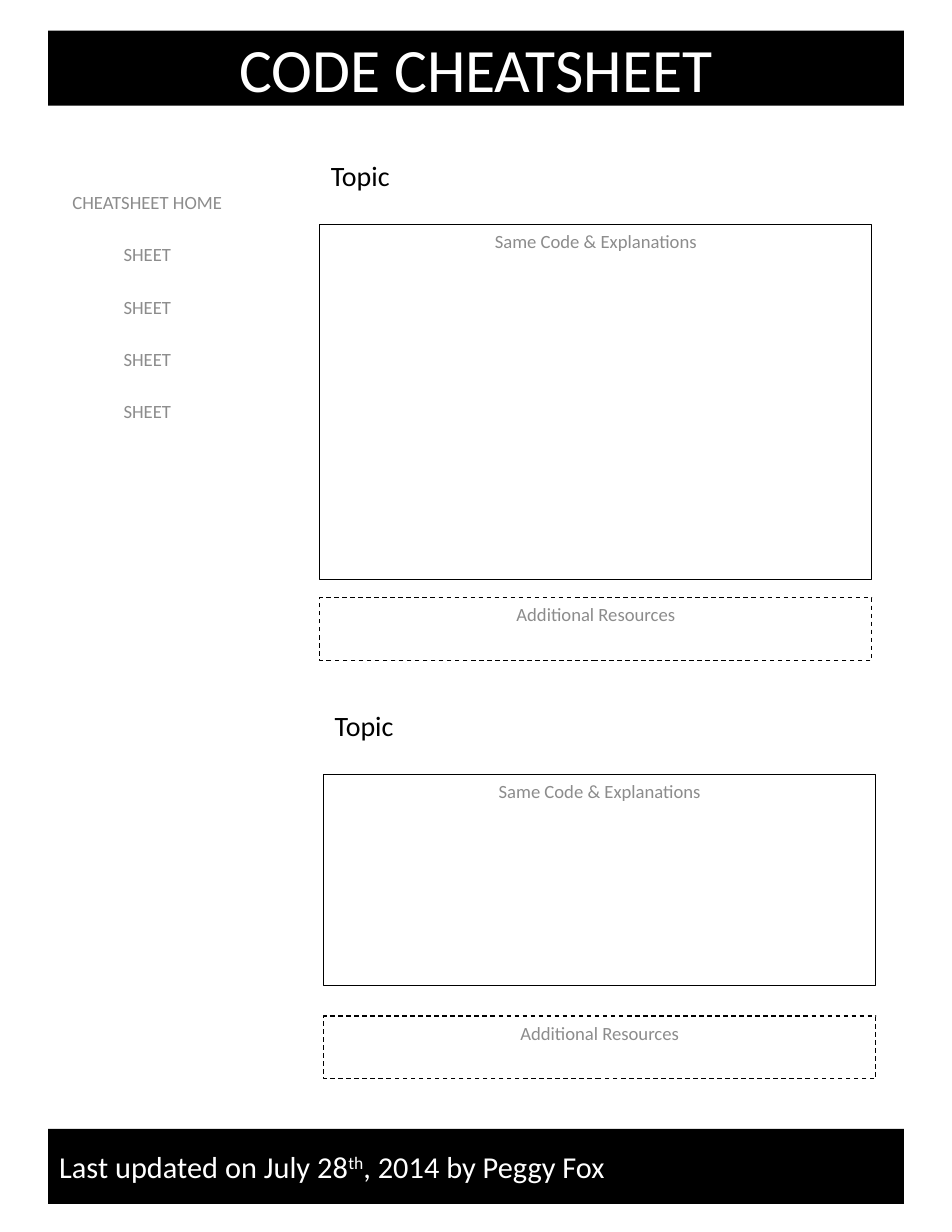
"""Build a one-page cheatsheet template with a menu and two topic sections."""
from dataclasses import dataclass

from pptx import Presentation
from pptx.dml.color import RGBColor
from pptx.enum.dml import MSO_LINE
from pptx.enum.shapes import MSO_SHAPE
from pptx.enum.text import MSO_ANCHOR, PP_ALIGN
from pptx.util import Inches, Pt

RECT = MSO_SHAPE.RECTANGLE
DASH = MSO_LINE.DASH
TOP, MIDDLE = MSO_ANCHOR.TOP, MSO_ANCHOR.MIDDLE
LEFT, CENTER = PP_ALIGN.LEFT, PP_ALIGN.CENTER
WIDTH, HEIGHT = Inches(8.5), Inches(11)


@dataclass(frozen=True)
class Theme:
    """Hold the colours, font and type sizes."""
    black: RGBColor = RGBColor(0, 0, 0)
    white: RGBColor = RGBColor(255, 255, 255)
    gray: RGBColor = RGBColor(0x8C, 0x8C, 0x8C)
    font: str = "Calibri"
    title: float = 39.6
    footer: float = 19.5
    topic: float = 18
    body: float = 12
    line: float = 0.75
    gap: float = 19.2


THEME = Theme()


def area(left, top, width, height):
    """Turn percentages of the slide into lengths."""
    return (int(WIDTH * left / 100), int(HEIGHT * top / 100),
            int(WIDTH * width / 100), int(HEIGHT * height / 100))


def style(para, size, color, align):
    """Set the type and alignment of a paragraph."""
    para.alignment = align
    para.font.name = THEME.font
    para.font.size = Pt(size)
    para.font.color.rgb = color


def write(shape, lines, size, color, align=LEFT, anchor=TOP):
    """Write one paragraph per line, evenly spaced."""
    frame = shape.text_frame
    frame.word_wrap = True
    frame.vertical_anchor = anchor
    frame.text = "\n".join(lines)
    for i, para in enumerate(frame.paragraphs):
        style(para, size, color, align)
        para.space_before = Pt(THEME.gap if i else 0)
    return frame


def label(slide, spot, lines, size, color, align=LEFT):
    """Add a plain text box."""
    write(slide.shapes.add_textbox(*area(*spot)), lines, size, color, align)


def band(slide, top, text, size, align):
    """Add a black band across the page."""
    shape = slide.shapes.add_shape(RECT, *area(5.06, top, 89.88, 6.09))
    shape.shadow.inherit = False
    shape.fill.solid()
    shape.fill.fore_color.rgb = THEME.black
    shape.line.fill.background()
    return write(shape, [text], size, THEME.white, align, MIDDLE)


def frame(slide, spot, text, dash=None):
    """Add an outlined box with a gray heading."""
    shape = slide.shapes.add_shape(RECT, *area(*spot))
    shape.shadow.inherit = False
    shape.fill.background()
    shape.line.color.rgb = THEME.black
    shape.line.width = Pt(THEME.line)
    if dash:
        shape.line.dash_style = dash
    write(shape, [text], THEME.body, THEME.gray, CENTER)


def section(slide, left, top, depth, gap):
    """Add a topic with its code box and resource box."""
    wide, code = 58, top + 5.75
    label(slide, (left, top, wide, 3.64), ["Topic"], THEME.topic, THEME.black)
    frame(slide, (left, code, wide, depth), "Same Code & Explanations")
    frame(slide, (left, code + depth + gap, wide, 5.09),
          "Additional Resources", DASH)


def footer(slide):
    """Add the bottom band with its raised ordinal."""
    para = band(slide, 91.64, "Last updated on July 28",
                THEME.footer, LEFT).paragraphs[0]
    raised = para.add_run()
    raised.text = "th"
    raised.font._element.set("baseline", "30000")
    para.add_run().text = ", 2014 by Peggy Fox"


def main():
    """Build and save the slide."""
    deck = Presentation()
    deck.slide_width, deck.slide_height = WIDTH, HEIGHT
    slide = deck.slides.add_slide(deck.slide_layouts[6])
    band(slide, 2.48, "CODE CHEATSHEET", THEME.title, CENTER)
    label(slide, (5.06, 15.05, 20.82, 28.82),
          ["CHEATSHEET HOME"] + ["SHEET"] * 4,
          THEME.body, THEME.gray, CENTER)
    footer(slide)
    section(slide, 33.6, 12.45, 28.82, 1.5)
    section(slide, 34, 57.09, 17.18, 2.45)
    deck.save("out.pptx")


main()
